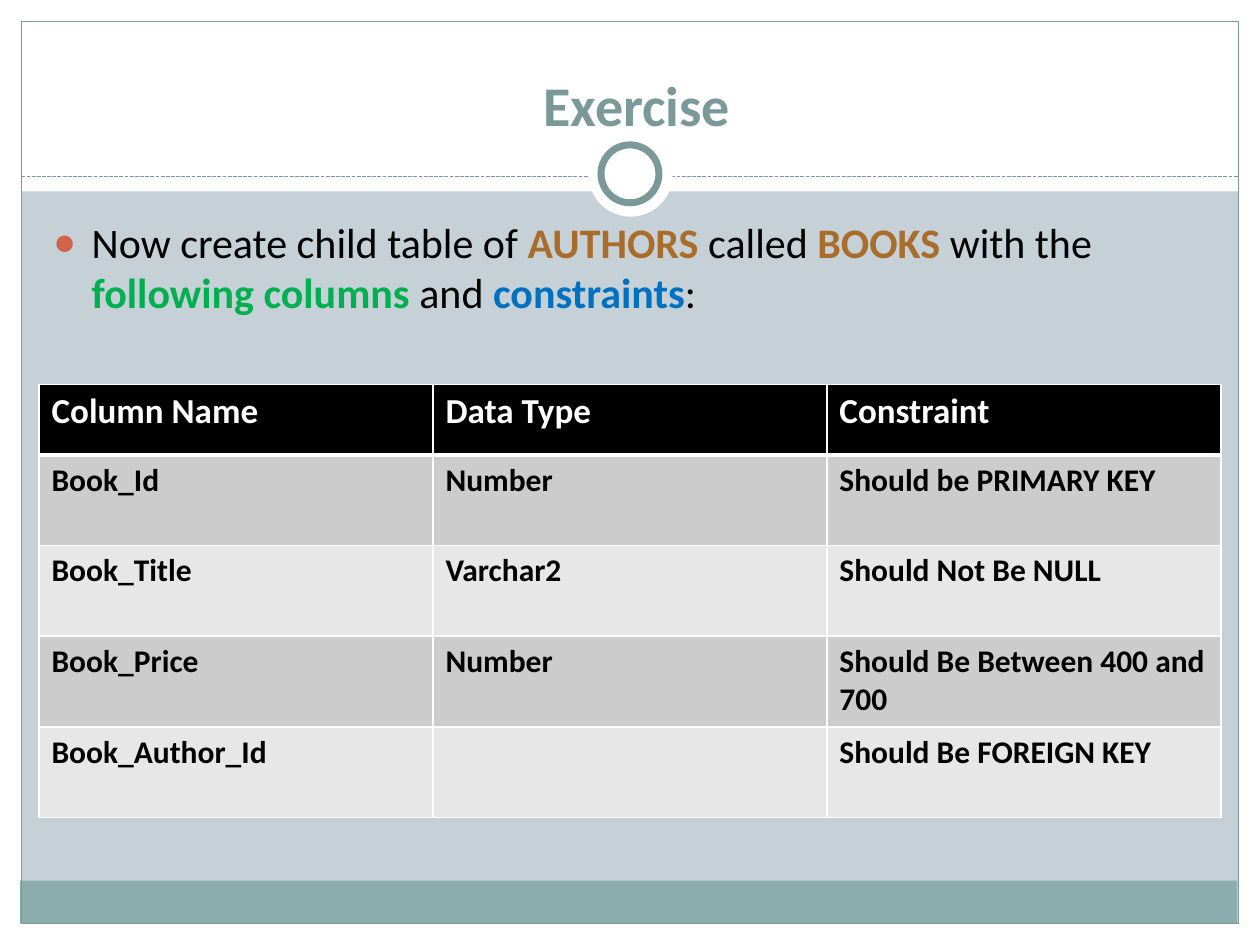
from typing import NamedTuple, Optional

from lxml import etree
from pptx import Presentation
from pptx import util as u
from pptx.dml import color
from pptx.enum import dml, shapes, text
from pptx.oxml import ns

FONT = "Calibri"
WHITE, BLACK, TEAL, BROWN = "FFFFFF", "000000", "7C999A", "A96D2B"


class Panel(NamedTuple):
    left: float
    top: float
    width: float
    height: float
    fill: Optional[str] = WHITE
    line: Optional[str] = None
    line_width: float = 0.75
    kind: shapes.MSO_SHAPE = shapes.MSO_SHAPE.RECTANGLE


class Phrase(NamedTuple):
    wording: str
    hex_color: str = BLACK
    bold: bool = False


FRAME = [
    Panel(0, 7.33, 10, 0.17),
    Panel(0, 0, 10, 1.52),
    Panel(0, 0, 0.17, 7.5),
    Panel(9.83, 0, 0.17, 7.5),
    Panel(0.16, 6.99, 9.66, 0.34, "8CADAE"),
    Panel(0.17, 0.17, 9.66, 7.16, None, TEAL),
]
RING = [
    Panel(4.67, 1.05, 0.67, 0.67, kind=shapes.MSO_SHAPE.OVAL),
    Panel(4.77, 1.15, 0.46, 0.46, WHITE, TEAL, 4, shapes.MSO_SHAPE.OVAL),
]
INSTRUCTION = [
    Phrase("Now create child table of "),
    Phrase("AUTHORS", BROWN, True),
    Phrase(" called "),
    Phrase("BOOKS ", BROWN, True),
    Phrase("with the "),
    Phrase("following columns ", "00B050", True),
    Phrase("and "),
    Phrase("constraints", "0070C0", True),
    Phrase(":"),
]
ROWS = [
    ("Column Name", "Data Type", "Constraint"),
    ("Book_Id", "Number", "Should be PRIMARY KEY"),
    ("Book_Title", "Varchar2", "Should Not Be NULL"),
    ("Book_Price", "Number", "Should Be Between 400 and 700"),
    ("Book_Author_Id", "", "Should Be FOREIGN KEY"),
]


def rgb(hex_color: str) -> color.RGBColor:
    return color.RGBColor.from_string(hex_color)


def paint(fill, hex_color: str) -> None:
    fill.solid()
    fill.fore_color.rgb = rgb(hex_color)


def style(font, size: float, hex_color: str, bold: bool) -> None:
    font.name = FONT
    font.size = u.Pt(size)
    font.bold = bold
    font.color.rgb = rgb(hex_color)


def draw_panel(slide, panel: Panel) -> None:
    box = [u.Inches(value) for value in panel[:4]]
    shape = slide.shapes.add_shape(panel.kind, *box)
    shape.shadow.inherit = False
    if panel.fill:
        paint(shape.fill, panel.fill)
    else:
        shape.fill.background()
    if panel.line:
        shape.line.color.rgb = rgb(panel.line)
        shape.line.width = u.Pt(panel.line_width)
    else:
        shape.line.fill.background()


def draw_divider(slide) -> None:
    y = u.Inches(1.4)
    divider = slide.shapes.add_connector(
        shapes.MSO_CONNECTOR.STRAIGHT, u.Inches(0.17), y, u.Inches(9.83), y)
    divider.line.color.rgb = rgb(TEAL)
    divider.line.width = u.Pt(0.75)
    divider.line.dash_style = dml.MSO_LINE.SQUARE_DOT
    etree.SubElement(divider.element.spPr, ns.qn("a:effectLst"))


def place_title(slide) -> None:
    title = slide.shapes.title
    title.left, title.top = u.Inches(0.39), u.Inches(0.31)
    title.width, title.height = u.Inches(9.33), u.Inches(0.83)
    title.text_frame.text = "Exercise"
    title.text_frame.vertical_anchor = text.MSO_ANCHOR.BOTTOM
    paragraph = title.text_frame.paragraphs[0]
    paragraph.alignment = text.PP_ALIGN.CENTER
    style(paragraph.runs[0].font, 32, TEAL, True)
    title.element.getparent().append(title.element)


def add_bullet(paragraph) -> None:
    properties = paragraph._p.get_or_add_pPr()
    properties.set("marL", str(u.Inches(0.3)))
    properties.set("indent", str(-u.Inches(0.3)))
    bullet_color = etree.SubElement(properties, ns.qn("a:buClr"))
    etree.SubElement(bullet_color, ns.qn("a:srgbClr"), val="D16349")
    etree.SubElement(properties, ns.qn("a:buSzPct"), val="85000")
    etree.SubElement(properties, ns.qn("a:buFont"), typeface=FONT)
    etree.SubElement(properties, ns.qn("a:buChar"), char="●")


def write_instruction(slide) -> None:
    box = slide.shapes.add_textbox(
        u.Inches(0.33), u.Inches(1.67), u.Inches(9.3), u.Inches(1.2))
    box.text_frame.word_wrap = True
    paragraph = box.text_frame.paragraphs[0]
    add_bullet(paragraph)
    for phrase in INSTRUCTION:
        run = paragraph.add_run()
        run.text = phrase.wording
        style(run.font, 24, phrase.hex_color, phrase.bold)


def add_borders(cell, bottom_width: float, top_width: float) -> None:
    properties = cell._tc.get_or_add_tcPr()
    widths = {"lnL": 1, "lnR": 1, "lnT": top_width, "lnB": bottom_width}
    for side, width in widths.items():
        line = etree.SubElement(properties, ns.qn(f"a:{side}"), w=str(u.Pt(width)))
        fill = etree.SubElement(line, ns.qn("a:solidFill"))
        etree.SubElement(fill, ns.qn("a:srgbClr"), val=WHITE)


def draw_table(slide) -> None:
    table = slide.shapes.add_table(
        len(ROWS), len(ROWS[0]), u.Inches(0.31), u.Inches(3.05),
        u.Inches(9.38), u.Inches(3.45)).table
    for column in table.columns:
        column.width = u.Inches(9.38 / len(ROWS[0]))
    for row_index, row in enumerate(ROWS):
        header = row_index == 0
        table.rows[row_index].height = u.Inches(0.56 if header else 0.72)
        band = BLACK if header else ("E7E7E7", "CCCCCC")[row_index % 2]
        for column_index, wording in enumerate(row):
            cell = table.cell(row_index, column_index)
            add_borders(cell, 3 if header else 1, 3 if row_index == 1 else 1)
            paint(cell.fill, band)
            cell.text_frame.text = wording
            for run in cell.text_frame.paragraphs[0].runs:
                style(run.font, 20 if header else 18, WHITE if header else BLACK, True)


def main() -> None:
    presentation = Presentation()
    presentation.slide_width = u.Inches(10)
    presentation.slide_height = u.Inches(7.5)
    slide = presentation.slides.add_slide(presentation.slide_layouts[5])
    paint(slide.background.fill, "C5D1D7")
    for panel in FRAME:
        draw_panel(slide, panel)
    draw_divider(slide)
    for panel in RING:
        draw_panel(slide, panel)
    place_title(slide)
    write_instruction(slide)
    draw_table(slide)
    presentation.save("out.pptx")


if __name__ == "__main__":
    main()
